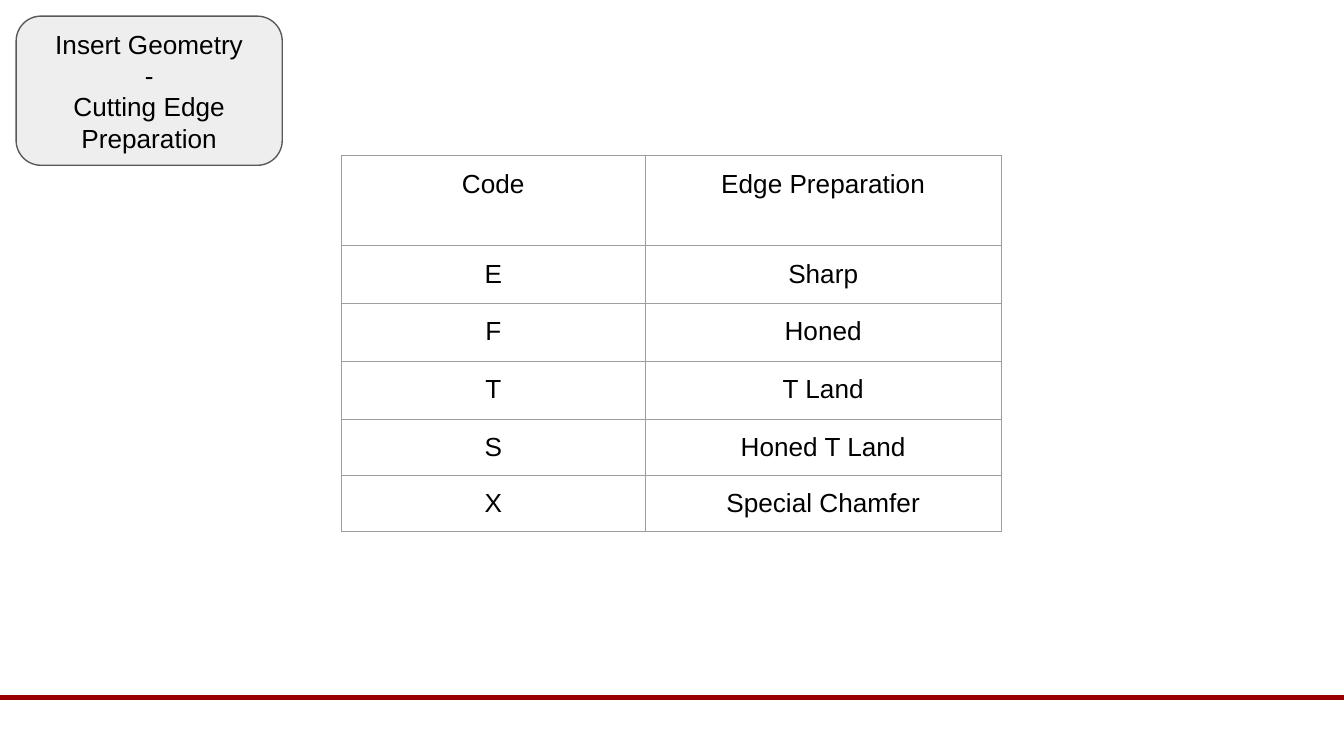
from lxml import etree
from pptx import Presentation, util as u
from pptx.dml.color import RGBColor
from pptx.enum import shapes, text
from pptx.oxml import ns

TITLE = ["Insert Geometry", "-", "Cutting Edge Preparation"]
ROWS = [
    ("Code", "Edge Preparation"),
    ("E", "Sharp"),
    ("F", "Honed"),
    ("T", "T Land"),
    ("S", "Honed T Land"),
    ("X", "Special Chamfer"),
]
WIDTHS = [2.26, 2.65]
HEIGHTS = [0.67] + [0.43] * 3 + [0.3, 0.33]
BLACK = RGBColor(0, 0, 0)
PALE = RGBColor(0xEE, 0xEE, 0xEE)
DARK = RGBColor(0x59, 0x59, 0x59)
GREY = RGBColor(0x9E, 0x9E, 0x9E)
RED = RGBColor(0x98, 0, 0)
PAD = u.Inches(0.1)


def pad(box):
    box.margin_left = box.margin_right = PAD
    box.margin_top = box.margin_bottom = PAD


def write(frame, lines):
    for i, line in enumerate(lines):
        para = frame.add_paragraph() if i else frame.paragraphs[0]
        para.alignment = text.PP_ALIGN.CENTER
        run = para.add_run()
        run.text = line
        run.font.name = "Arial"
        run.font.size = u.Pt(14)
        run.font.color.rgb = BLACK


def border(cell):
    props = cell._tc.get_or_add_tcPr()
    for side in ("lnL", "lnR", "lnT", "lnB"):
        edge = etree.SubElement(props, ns.qn("a:" + side), w=str(u.Pt(0.75)))
        fill = etree.SubElement(edge, ns.qn("a:solidFill"))
        etree.SubElement(fill, ns.qn("a:srgbClr"), val=str(GREY))


def add_rule(slide):
    rule = slide.shapes.add_connector(
        shapes.MSO_CONNECTOR.STRAIGHT,
        0, u.Inches(5.19), u.Inches(10), u.Inches(5.19))
    rule.line.color.rgb = RED
    rule.line.width = u.Pt(2.25)
    etree.SubElement(rule._element.spPr, ns.qn("a:effectLst"))


def add_label(slide):
    label = slide.shapes.add_shape(
        shapes.MSO_SHAPE.ROUNDED_RECTANGLE,
        u.Inches(0.12), u.Inches(0.12), u.Inches(1.98), u.Inches(1.11))
    label.shadow.inherit = False
    label.fill.solid()
    label.fill.fore_color.rgb = PALE
    label.line.color.rgb = DARK
    label.line.width = u.Pt(0.75)
    frame = label.text_frame
    frame.word_wrap = True
    frame.vertical_anchor = text.MSO_ANCHOR.MIDDLE
    pad(frame)
    write(frame, TITLE)


def add_codes(slide):
    table = slide.shapes.add_table(
        len(ROWS), len(WIDTHS), u.Inches(2.54), u.Inches(1.16),
        u.Inches(sum(WIDTHS)), u.Inches(sum(HEIGHTS))).table
    table.first_row = table.horz_banding = False
    for col, width in zip(table.columns, WIDTHS):
        col.width = u.Inches(width)
    for row, height, words in zip(table.rows, HEIGHTS, ROWS):
        row.height = u.Inches(height)
        for cell, word in zip(row.cells, words):
            pad(cell)
            border(cell)
            cell.fill.background()
            write(cell.text_frame, [word])


def main():
    deck = Presentation()
    deck.slide_width = u.Inches(10)
    deck.slide_height = deck.slide_width * 9 // 16
    slide = deck.slides.add_slide(deck.slide_layouts[6])
    add_rule(slide)
    add_label(slide)
    add_codes(slide)
    deck.save("out.pptx")


if __name__ == "__main__":
    main()
